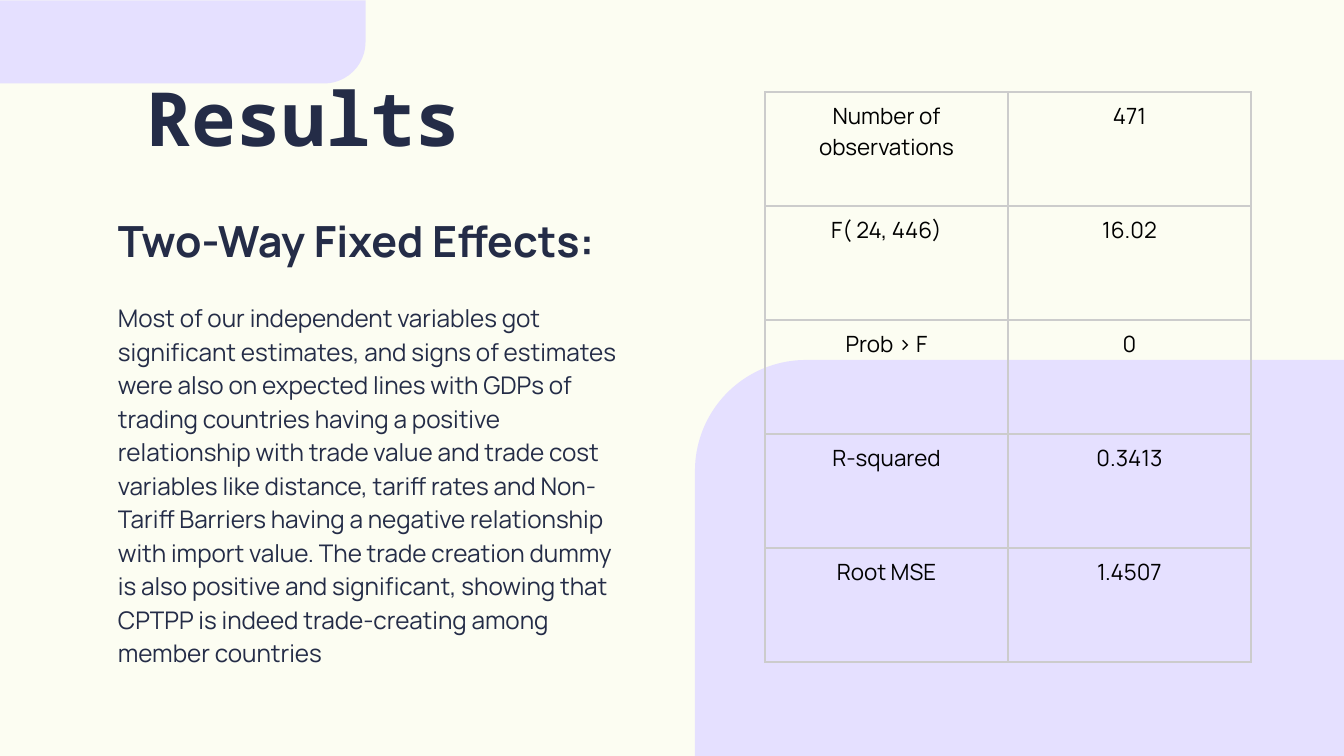
"""Build the Results slide with the two-way fixed effects summary and its table."""
from lxml import etree
from pptx import Presentation
from pptx import util as u
from pptx.dml.color import RGBColor
from pptx.enum import shapes, text
from pptx.oxml import ns

PX = 9144000 / 1344
COLORS = {"cream": "FCFDF2", "lilac": "E5E0FF", "navy": "242C47", "black": "000000", "grid": "CCCCCC"}


def px(*lengths):
    return [u.Emu(round(length * PX)) for length in lengths]


def write(frame, content, size, font="Manrope", color="navy", bold=False, align=text.PP_ALIGN.LEFT,
          line_spacing=None, space_after=0):
    frame.word_wrap = True
    paragraph = frame.paragraphs[0]
    paragraph.alignment = align
    paragraph.line_spacing = line_spacing
    paragraph.space_after = u.Pt(space_after)
    run = paragraph.add_run()
    run.text = content
    run.font.size = u.Pt(size)
    run.font.name = font
    run.font.bold = bold
    run.font.color.rgb = RGBColor.from_string(COLORS[color])


presentation = Presentation()
presentation.slide_width, presentation.slide_height = px(1344, 756)
slide = presentation.slides.add_slide(presentation.slide_layouts[6])
slide.background.fill.solid()
slide.background.fill.fore_color.rgb = RGBColor.from_string(COLORS["cream"])

panels = [
    ((695, 360, 649, 396), 0.28, 0, True),
    ((141, -141, 83, 366), 0.5, 90, False),
]
for box, corner, rotation, flipped in panels:
    panel = slide.shapes.add_shape(shapes.MSO_SHAPE.ROUND_1_RECTANGLE, *px(*box))
    panel.adjustments[0] = corner
    panel.rotation = rotation
    panel.shadow.inherit = False
    panel.fill.solid()
    panel.fill.fore_color.rgb = RGBColor.from_string(COLORS["lilac"])
    panel.line.fill.background()
    if flipped:
        panel.element.spPr.find(ns.qn("a:xfrm")).set("flipH", "1")

body = (
    "Most of our independent variables got significant estimates, and signs of estimates were also on "
    "expected lines with GDPs of trading countries having a positive relationship with trade value and "
    "trade cost variables like distance, tariff rates and Non-Tariff Barriers having a negative "
    "relationship with import value. The trade creation dummy is also positive and significant, showing "
    "that CPTPP is indeed trade-creating among member countries"
)
text_blocks = [
    ((134, 59, 1071, 87), "Results", {"size": 40, "font": "Noto Sans Mono", "bold": True}),
    ((105, 202, 540, 84), "Two-Way Fixed Effects:", {"size": 23, "bold": True}),
    ((105, 286, 540, 437), body, {"size": 13, "line_spacing": 1.15}),
]
for box, content, style in text_blocks:
    frame = slide.shapes.add_textbox(*px(*box)).text_frame
    frame.margin_left, frame.margin_top, frame.margin_right, frame.margin_bottom = px(13, 13, 13, 13)
    write(frame, content, **style)

statistics = [
    ("Number of observations", "471"),
    ("F( 24, 446)", "16.02"),
    ("Prob > F", "0"),
    ("R-squared", "0.3413"),
    ("Root MSE", "1.4507"),
]
column_width, row_height = 243, 114
table = slide.shapes.add_table(
    len(statistics), 2, *px(765, 92, column_width * 2, row_height * len(statistics))
).table
table.first_row = table.horz_banding = False
for row, values in enumerate(statistics):
    for column, value in enumerate(values):
        cell = table.cell(row, column)
        cell.margin_left, cell.margin_top, cell.margin_right, cell.margin_bottom = px(9, 9, 9, 9)
        write(cell.text_frame, value, 12, color="black", align=text.PP_ALIGN.CENTER, space_after=12)
        properties = cell._tc.get_or_add_tcPr()
        for side in ("lnL", "lnR", "lnT", "lnB"):
            border = etree.SubElement(properties, ns.qn(f"a:{side}"), w=str(u.Pt(1)))
            fill = etree.SubElement(border, ns.qn("a:solidFill"))
            etree.SubElement(fill, ns.qn("a:srgbClr"), val=COLORS["grid"])
        cell.fill.background()

presentation.save("out.pptx")
